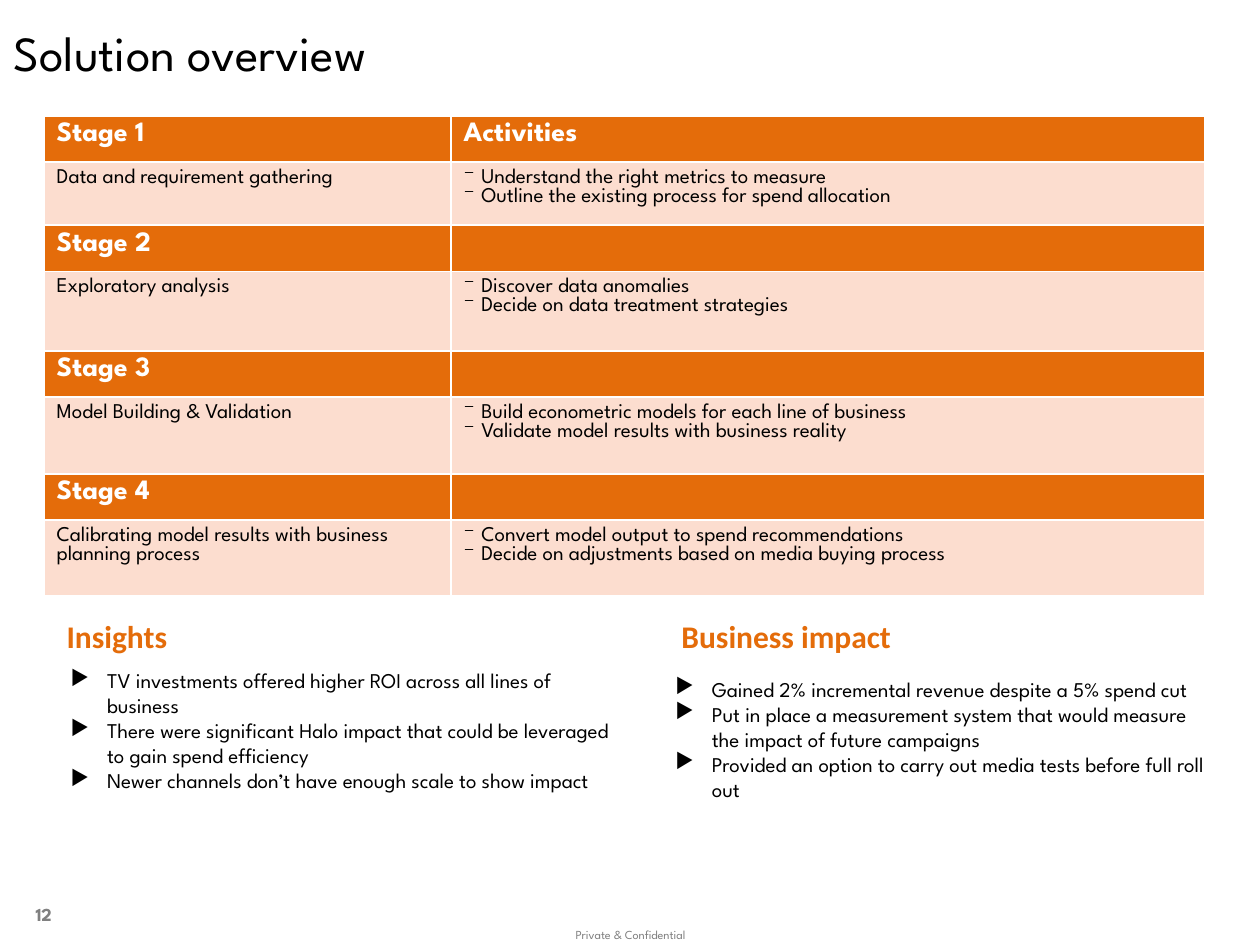
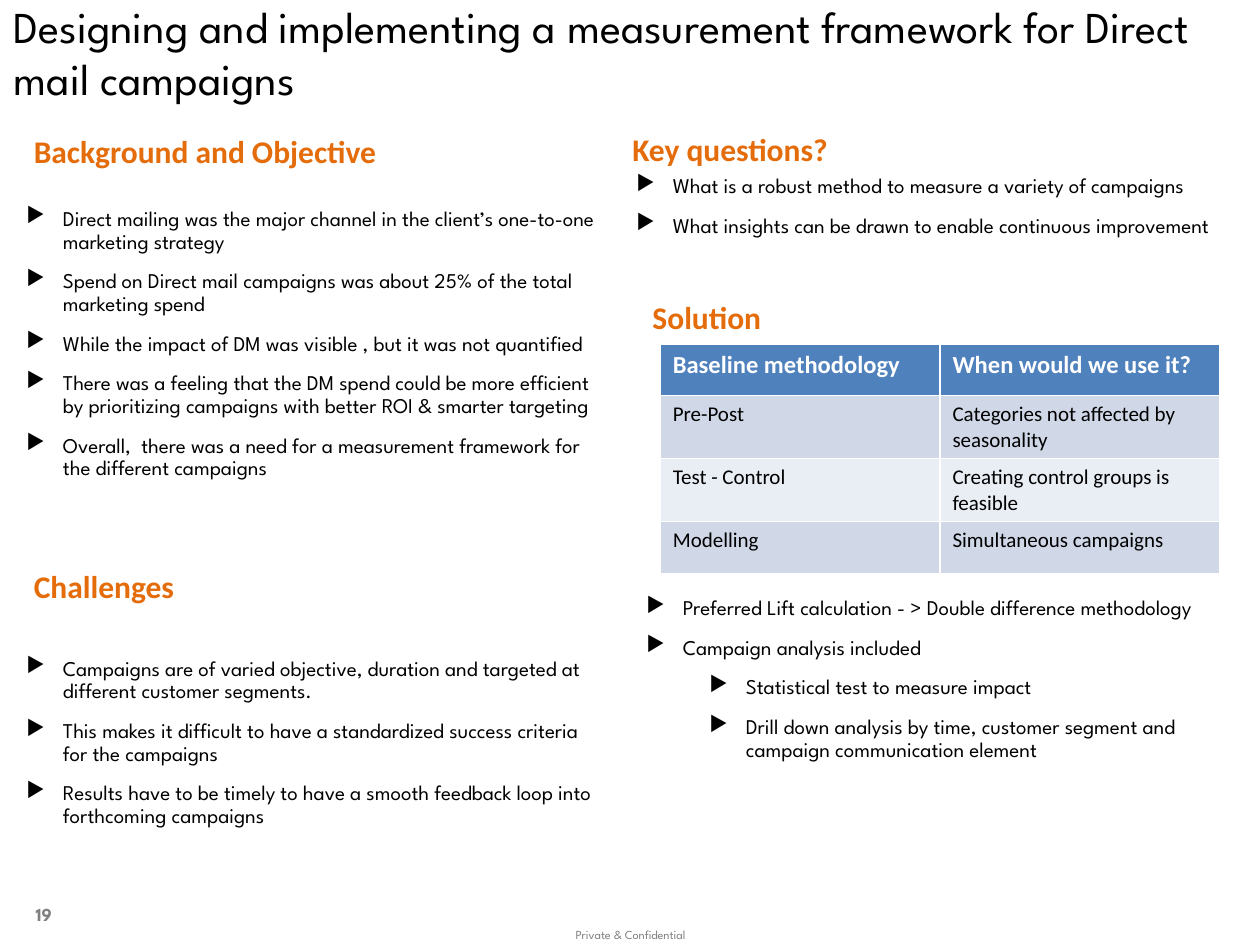
from lxml import etree
from pptx import Presentation
from pptx import util as u
from pptx.dml.color import RGBColor
from pptx.enum import text
from pptx.oxml.ns import qn

HUE = {"ink": "000000", "white": "FFFFFF", "gray": "808080", "head": "E46C0A",
       "pale": "FCDDCF", "blue": "4F81BD", "band": "D0D8E8", "light": "E9EDF4"}
SPARTAN, CALIBRI = "League Spartan", "Calibri"
LEAD, TIGHT = 1.19, 1.08  # line pitch as a multiple of the text size
LEFT, MID, RIGHT = text.PP_ALIGN.LEFT, text.PP_ALIGN.CENTER, text.PP_ALIGN.RIGHT


def write(frame, lines, size, font=SPARTAN, hue="ink", bold=False, align=LEFT,
          lead=None, gap=0, mark=None, hang=0.29):
    """Fill a frame; a line is a string or a (string, level) pair."""
    for i, line in enumerate(lines):
        words, level = line if isinstance(line, tuple) else (line, 0)
        para = frame.paragraphs[0] if i == 0 else frame.add_paragraph()
        para.level = level
        para.alignment = align
        if mark:
            props = para._p.get_or_add_pPr()
            props.set("marL", str(u.Inches(hang + level * 0.5)))
            props.set("indent", str(-u.Inches(hang)))
            etree.SubElement(props, qn("a:buChar"), char=mark)
        if lead:
            para.line_spacing = u.Pt(round(size * lead, 1))
        if gap and i:
            para.space_before = u.Pt(gap)
        run = para.add_run()
        run.text = words
        run.font.size = u.Pt(size)
        run.font.name = font
        run.font.bold = bold
        run.font.color.rgb = RGBColor.from_string(HUE[hue])


def box(slide, place, pad=0.1, wrap=True, anchor=text.MSO_ANCHOR.TOP):
    """Add a text box and return its frame."""
    frame = slide.shapes.add_textbox(*[u.Inches(n) for n in place]).text_frame
    frame.word_wrap = wrap
    frame.vertical_anchor = anchor
    frame.margin_left = frame.margin_right = u.Inches(pad)
    return frame


deck = Presentation()
deck.slide_width, deck.slide_height = u.Inches(10), u.Inches(7.5)

# Page number, title, title size, orange headings (left, top, width), bullet lists
PAGES = [
    (12, "Solution overview", 28,
     [("Insights", 0.43, 4.85, 1.17), ("Business impact", 5.31, 4.85, 2.21)],
     [((0.51, 5.25, 4.42, 0.58),
       ["TV investments offered higher ROI across all lines of business",
        "There were significant Halo impact that could be leveraged to gain spend efficiency",
        "Newer channels don’t have enough scale to show impact"]),
      ((5.31, 5.32, 4.42, 0.58),
       ["Gained 2% incremental revenue despite a 5% spend cut",
        "Put in place a measurement system that would measure the impact of future campaigns",
        "Provided an option to carry out media tests before full roll out"])],
     {"lead": LEAD}),
    (19, "Designing and implementing a measurement framework for Direct mail campaigns", 25.2,
     [("Background and Objective", 0.17, 1, 3.4), ("Challenges", 0.17, 4.45, 1.55),
      ("Key questions?", 4.92, 0.98, 2.08), ("Solution", 5.08, 2.32, 1.21)],
     [((0.16, 1.6, 4.67, 2.45),
       ["Direct mailing was the major channel in the client’s one-to-one marketing strategy",
        "Spend on Direct mail campaigns was about 25% of the total marketing spend",
        "While the impact of DM was visible , but it was not quantified",
        "There was a feeling that the DM spend could be more efficient by prioritizing "
        "campaigns with better ROI & smarter targeting",
        "Overall,  there was a need for a measurement framework for the different campaigns"]),
      ((0.16, 5.17, 4.67, 1.42),
       ["Campaigns are of varied objective, duration and targeted at different customer segments.",
        "This makes it difficult to have a standardized success criteria for the campaigns",
        "Results have to be timely to have a smooth feedback loop into forthcoming campaigns"]),
      ((5, 1.34, 4.67, 0.99),
       ["What is a robust method to measure a variety of campaigns",
        "What insights can be drawn to enable continuous improvement"]),
      ((5.08, 4.69, 4.67, 0.99),
       ["Preferred Lift calculation - > Double difference methodology",
        "Campaign analysis included",
        ("Statistical test to measure impact", 1),
        ("Drill down analysis by time, customer segment and campaign communication element", 1)])],
     {"lead": TIGHT, "gap": 9.6}),
]

for number, name, size, heads, lists, pace in PAGES:
    slide = deck.slides.add_slide(deck.slide_layouts[5])

    # Title
    title = slide.shapes.title
    title.left, title.top = u.Inches(0.01), u.Inches(0)
    title.width, title.height = u.Inches(9.99), u.Inches(0.83)
    title.text_frame.auto_size = text.MSO_AUTO_SIZE.NONE
    title.text_frame.vertical_anchor = text.MSO_ANCHOR.MIDDLE
    write(title.text_frame, [name], size, lead=LEAD)

    # Page number and footer
    write(box(slide, (-0.07, 7.06, 0.58, 0.4), anchor=text.MSO_ANCHOR.MIDDLE),
          [str(number)], 10.5, hue="gray", bold=True, align=RIGHT, lead=LEAD)
    write(box(slide, (3.81, 7.32, 2.39, 0.21)),
          ["Private & Confidential"], 7, hue="gray", align=MID, lead=TIGHT)

    # Headings and lists
    for head, left, top, width in heads:
        write(box(slide, (left, top, width, 0.4), wrap=False),
              [head], 18, CALIBRI, "head", True)
    for place, lines in lists:
        write(box(slide, place, pad=0.05), lines, 12, mark="▶", **pace)

# Stage table
STAGES = [
    ("Data and requirement gathering", 0.47,
     ["Understand the right metrics to measure",
      "Outline the existing process for spend allocation"]),
    ("Exploratory analysis", 0.63,
     ["Discover data anomalies", "Decide on data treatment strategies"]),
    ("Model Building & Validation", 0.61,
     ["Build econometric models for each line of business",
      "Validate model results with business reality"]),
    ("Calibrating model results with business planning process", 0.6,
     ["Convert model output to spend recommendations",
      "Decide on adjustments based on media buying process"]),
]
grid = deck.slides[0].shapes.add_table(
    2 * len(STAGES), 2, u.Inches(0.35), u.Inches(0.92), u.Inches(9.21), u.Inches(3.71)).table
grid.columns[0].width, grid.columns[1].width = u.Inches(3.23), u.Inches(5.98)
for i, (stage, height, acts) in enumerate(STAGES):
    for row, tall, hue in ((2 * i, 0.35, "head"), (2 * i + 1, height, "pale")):
        grid.rows[row].height = u.Inches(tall)
        for cell in grid.rows[row].cells:
            cell.fill.solid()
            cell.fill.fore_color.rgb = RGBColor.from_string(HUE[hue])
    top, side = grid.cell(2 * i, 0), grid.cell(2 * i, 1)
    write(top.text_frame, [f"Stage {i + 1}"], 16, hue="white", bold=True)
    if i == 0:
        write(side.text_frame, ["Activities"], 16, hue="white", bold=True)
    else:  # keep the empty cell from stretching its row
        etree.SubElement(side.text_frame.paragraphs[0]._p, qn("a:endParaRPr"), sz="1200")
    write(grid.cell(2 * i + 1, 0).text_frame, [stage], 12)
    write(grid.cell(2 * i + 1, 1).text_frame, acts, 12, mark="⁻", hang=0.14)

# Baseline table
BASE = [
    ("Baseline methodology", "When would we use it?"),
    ("Pre-Post", "Categories not affected by seasonality"),
    ("Test - Control", "Creating control groups is feasible"),
    ("Modelling", "Simultaneous campaigns"),
]
grid = deck.slides[1].shapes.add_table(
    len(BASE), 2, u.Inches(5.24), u.Inches(2.73), u.Inches(4.44), u.Inches(1.64)).table
for r, (pair, hue) in enumerate(zip(BASE, ("blue", "band", "light", "band"))):
    for c, words in enumerate(pair):
        cell = grid.cell(r, c)
        cell.fill.solid()
        cell.fill.fore_color.rgb = RGBColor.from_string(HUE[hue])
        if r == 0:
            write(cell.text_frame, [words], 14, CALIBRI, "white", True)
        else:
            write(cell.text_frame, [words], 12, CALIBRI)

deck.save("out.pptx")
